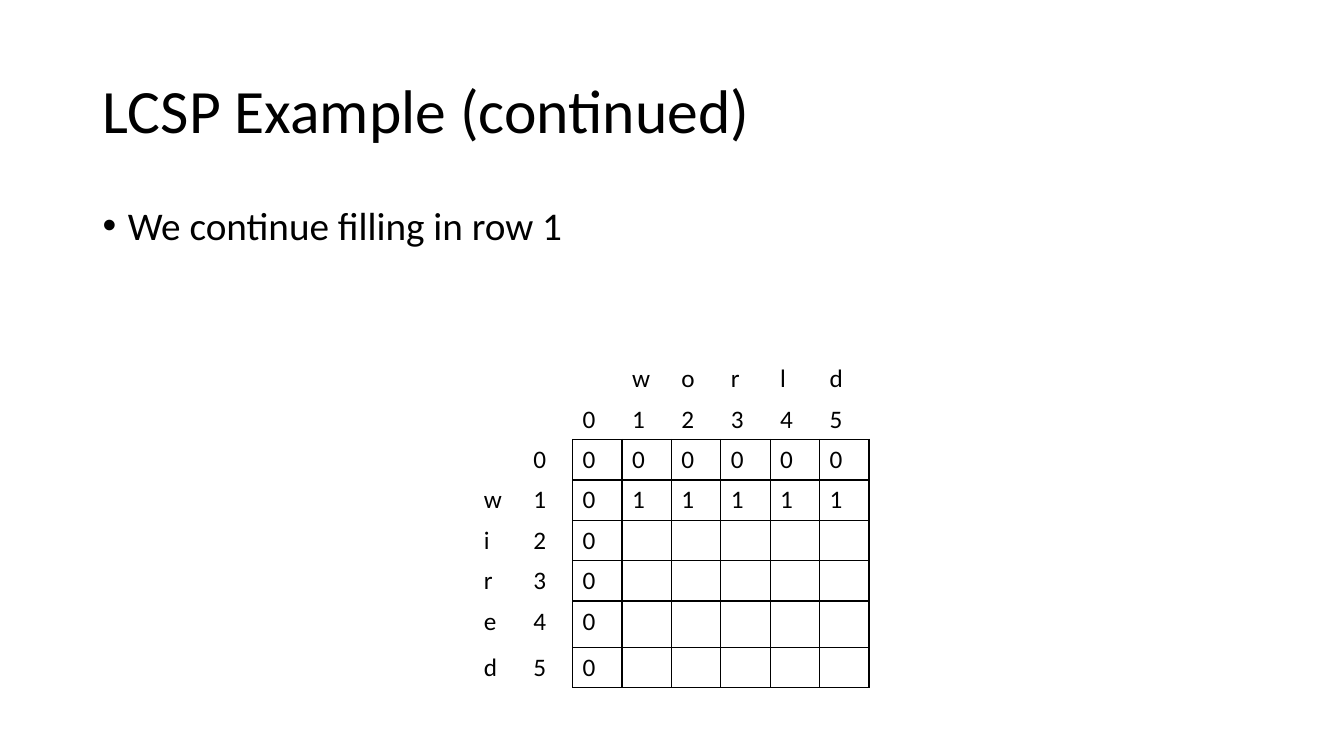
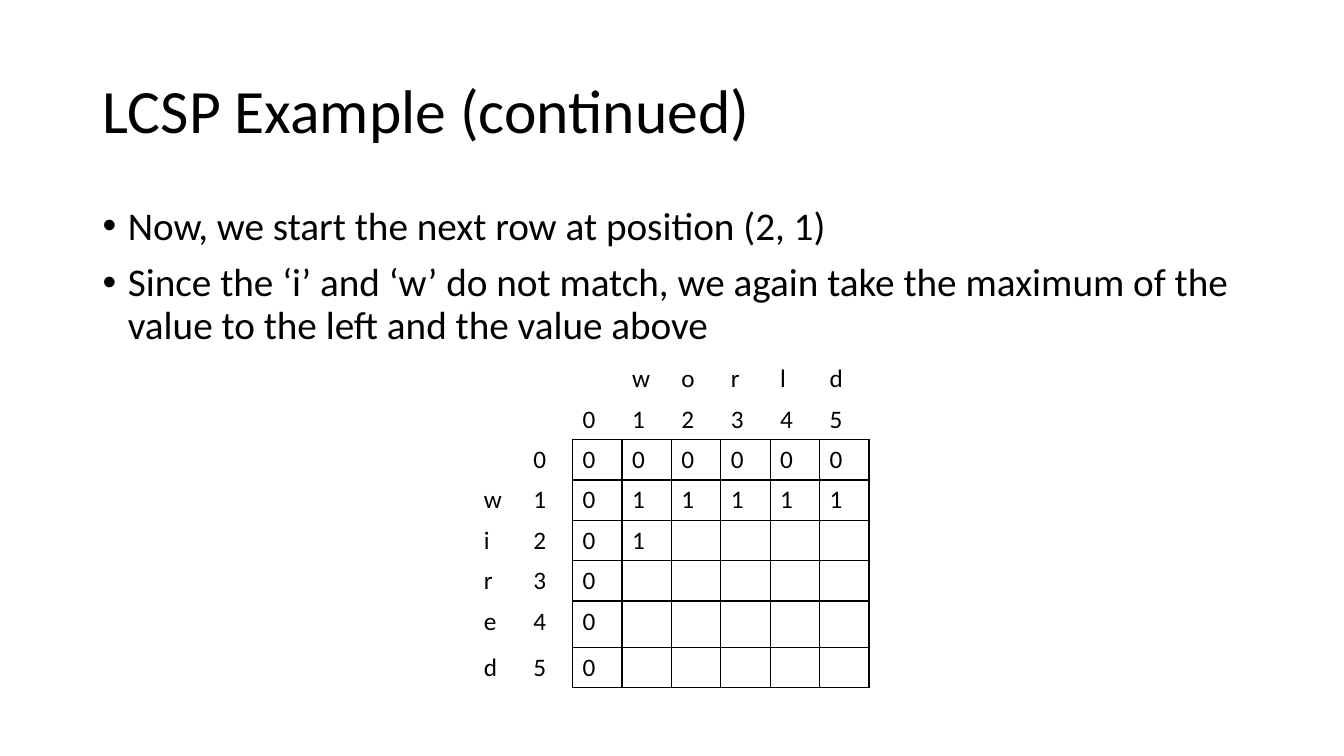
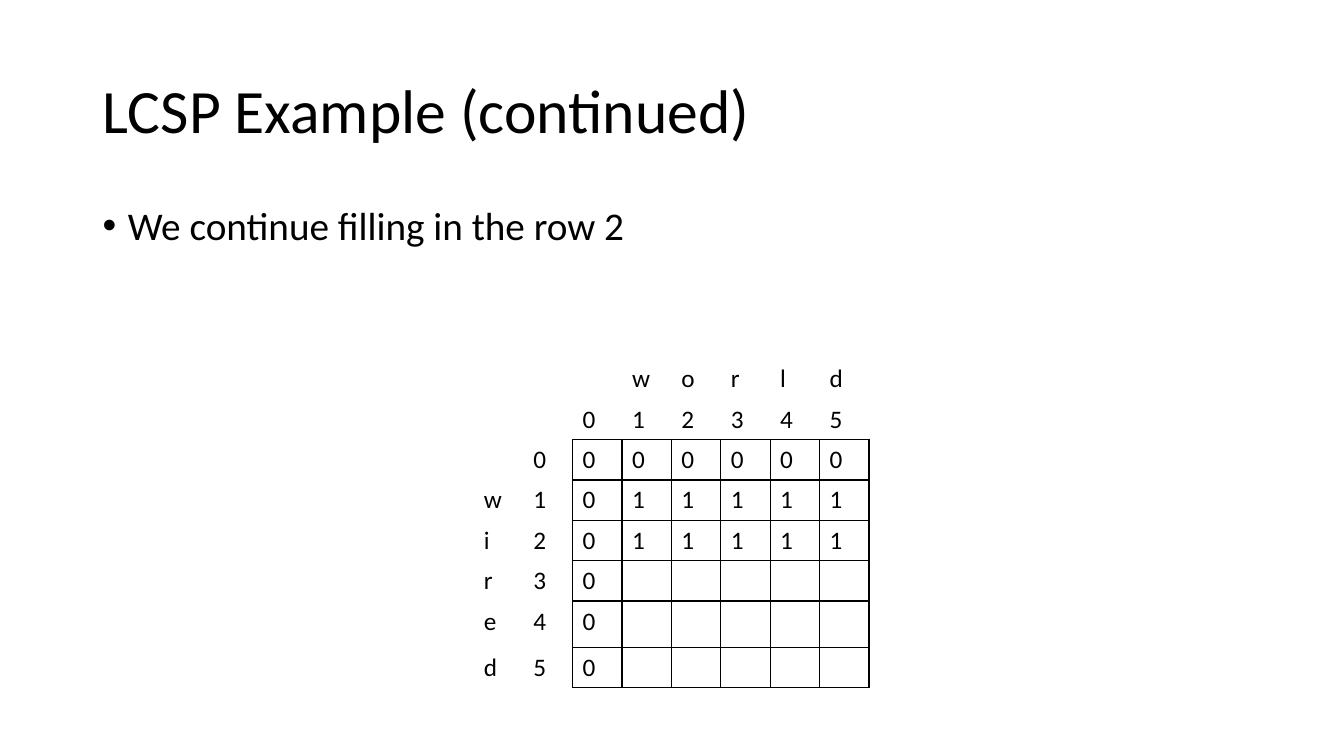
import dataclasses

import lxml.etree
import pptx
import pptx.dml.color
import pptx.enum.text
import pptx.oxml.ns
import pptx.util

PX = 9144
COLORS = {"ink": "000000", "paper": "FFFFFF"}
FONT = "Calibri"
TITLE = "LCSP Example (continued)"
ROW_WORD, COL_WORD = "wired", "world"
HEAD = 2
COL_WIDTH = 49
ROW_HEIGHTS = [38] * 6 + [46, 38]


@dataclasses.dataclass(frozen=True)
class Box:
    x: int
    y: int
    w: int
    h: int


@dataclasses.dataclass(frozen=True)
class Step:
    bullets: tuple[str, ...]
    filled: int


TITLE_BOX = Box(92, 40, 1150, 145)
BODY_BOX = Box(92, 200, 1150, 476)
TABLE_BOX = Box(470, 356, 394, 326)

STEPS = [
    Step(("We continue filling in row 1",), 5),
    Step((
        "Now, we start the next row at position (2, 1)",
        "Since the ‘i’ and ‘w’ do not match, we again take the maximum of the "
        "value to the left and the value above",
    ), 6),
    Step(("We continue filling in the row 2",), 10),
]


def emu(box: Box) -> list[int]:
    return [n * PX for n in dataclasses.astuple(box)]


def child(parent, tag: str, **attrs: str):
    return lxml.etree.SubElement(parent, pptx.oxml.ns.qn(tag), attrs)


def write(p, text: str, *, size: int, spacing: float = 1, before: int = 0,
          bullet: str = "", indent: int = 0) -> None:
    p.line_spacing = spacing
    p.space_before = pptx.util.Pt(before)
    r = p.add_run()
    r.text = text
    r.font.size = pptx.util.Pt(size)
    r.font.name = FONT
    r.font.color.rgb = pptx.dml.color.RGBColor.from_string(COLORS["ink"])
    if bullet:
        pPr = p._p.get_or_add_pPr()
        pPr.set("marL", str(indent * PX))
        pPr.set("indent", str(-indent * PX))
        child(pPr, "a:buFont", typeface="Arial")
        child(pPr, "a:buChar", char=bullet)


def add_text(slide, box: Box, lines: tuple[str, ...], *, middle: bool = False,
             **fmt) -> None:
    tf = slide.shapes.add_textbox(*emu(box)).text_frame
    tf.word_wrap = True
    if middle:
        tf.vertical_anchor = pptx.enum.text.MSO_ANCHOR.MIDDLE
    for i, line in enumerate(lines):
        write(tf.add_paragraph() if i else tf.paragraphs[0], line, **fmt)


def lcs_lengths() -> list[list[int]]:
    grid = [[0] * (len(COL_WORD) + 1) for _ in range(len(ROW_WORD) + 1)]
    for i, a in enumerate(ROW_WORD, 1):
        for j, b in enumerate(COL_WORD, 1):
            grid[i][j] = (grid[i - 1][j - 1] + 1 if a == b
                          else max(grid[i - 1][j], grid[i][j - 1]))
    return grid


def table_texts(filled: int) -> list[list[str]]:
    n = len(COL_WORD)
    rows = [["", "", "", *COL_WORD], ["", "", *map(str, range(n + 1))]]
    for i, lengths in enumerate(lcs_lengths()):
        shown = 1 + (n if i == 0 else min(max(filled - (i - 1) * n, 0), n))
        values = [str(v) if j < shown else "" for j, v in enumerate(lengths)]
        rows.append([ROW_WORD[i - 1] if i else "", str(i), *values])
    return rows


def boxed(row: int, col: int) -> bool:
    return row >= HEAD and col >= HEAD


def set_borders(cell, row: int, col: int) -> None:
    tcPr = cell._tc.get_or_add_tcPr()
    sides = [("a:lnL", 0, -1), ("a:lnR", 0, 1), ("a:lnT", -1, 0), ("a:lnB", 1, 0)]
    for i, (tag, dr, dc) in enumerate(sides):
        ln = child(tcPr, tag, w=str(pptx.util.Pt(1)))
        if boxed(row, col) or boxed(row + dr, col + dc):
            child(child(ln, "a:solidFill"), "a:srgbClr", val=COLORS["ink"])
        else:
            child(ln, "a:noFill")
        tcPr.insert(i, ln)


def add_grid(slide, filled: int) -> None:
    texts = table_texts(filled)
    table = slide.shapes.add_table(
        len(texts), len(texts[0]), *emu(TABLE_BOX)).table
    table.first_row = False
    table.horz_banding = False
    for column in table.columns:
        column.width = COL_WIDTH * PX
    for row, height in zip(table.rows, ROW_HEIGHTS):
        row.height = height * PX
    for i, line in enumerate(texts):
        for j, text in enumerate(line):
            cell = table.cell(i, j)
            cell.fill.background()
            set_borders(cell, i, j)
            if text:
                write(cell.text_frame.paragraphs[0], text, size=18)


def add_step(prs, step: Step) -> None:
    slide = prs.slides.add_slide(prs.slide_layouts[6])
    fill = slide.background.fill
    fill.solid()
    fill.fore_color.rgb = pptx.dml.color.RGBColor.from_string(COLORS["paper"])
    add_text(slide, TITLE_BOX, (TITLE,), middle=True, size=44, spacing=0.9)
    add_text(slide, BODY_BOX, step.bullets, size=28, spacing=0.9, before=10,
             bullet="•", indent=25)
    add_grid(slide, step.filled)


def main() -> None:
    prs = pptx.Presentation()
    prs.slide_width, prs.slide_height = 1333 * PX, 750 * PX
    for step in STEPS:
        add_step(prs, step)
    prs.save("out.pptx")


if __name__ == "__main__":
    main()
